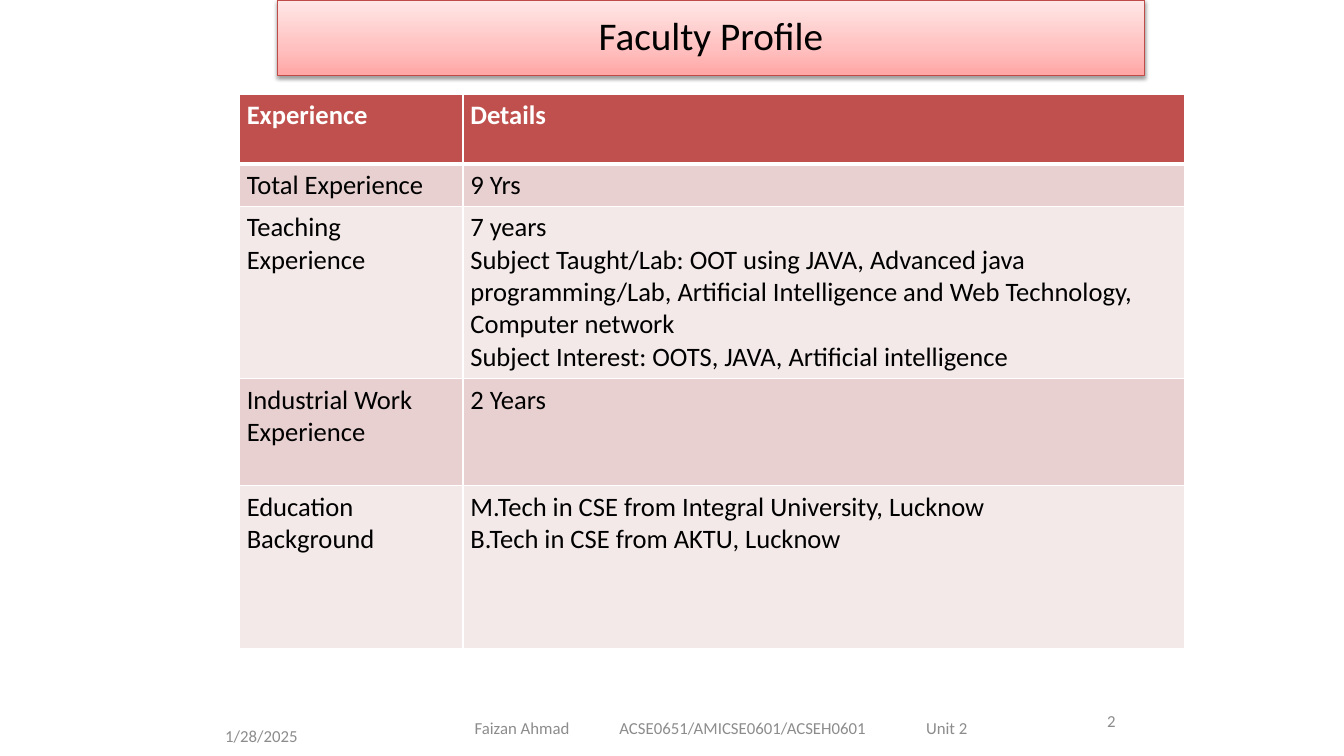
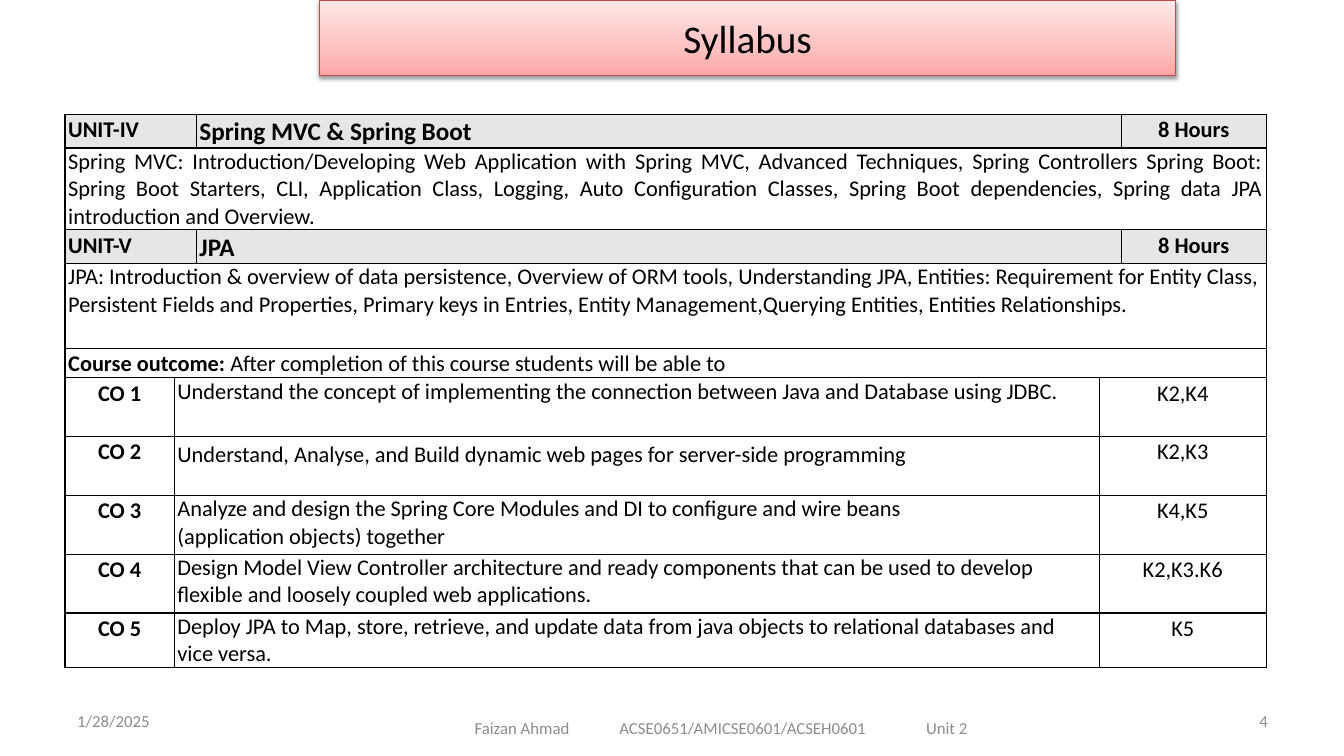
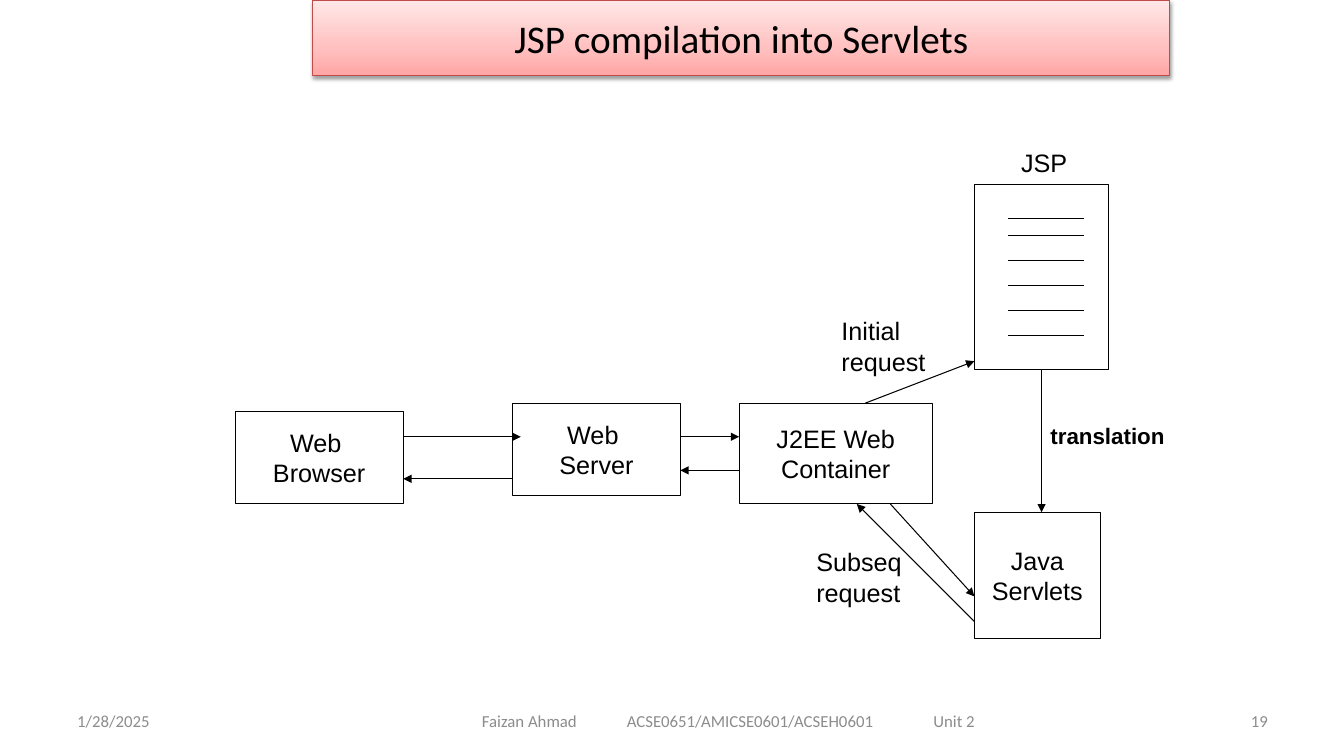
import copy
from dataclasses import dataclass

import lxml.etree
import pptx
import pptx.dml.color
import pptx.enum.shapes
import pptx.enum.text
import pptx.oxml.ns
import pptx.util

ALIGN = pptx.enum.text.PP_ALIGN
ANCHOR = pptx.enum.text.MSO_ANCHOR
qn = pptx.oxml.ns.qn


@dataclass(frozen=True)
class Theme:
    body_font: str = "Calibri"
    diagram_font: str = "Arial"
    black: str = "000000"
    white: str = "FFFFFF"
    muted: str = "8C8C8C"
    header: str = "C0504D"
    band_dark: str = "E8D0D0"
    band_light: str = "F4E9E9"
    unit_fill: str = "E6E6E6"
    banner_line: str = "BF4C48"
    banner_stops: tuple = ((0, "FFA6A5"), (0.35, "FFC0BF"), (1, "FFE7E7"))
    title_size: int = 28
    profile_size: int = 19
    diagram_size: int = 18
    unit_size: int = 18
    syllabus_size: int = 16
    footer_size: int = 12
    line_width: float = 0.75


THEME = Theme()
FOOTER_PARTS = ("Faizan Ahmad", "ACSE0651/AMICSE0601/ACSEH0601", "Unit 2")
FOOTER_TEXT_WIDTH = 472
FOOTER_TABS = (138, 430)


def px(length):
    return pptx.util.Emu(length * 9525)


def rgb(value):
    return pptx.dml.color.RGBColor.from_string(value)


def add_xml(parent, tag, **attributes):
    return lxml.etree.SubElement(parent, qn(tag), attributes)


def style(paragraph, size, color=THEME.black, font=THEME.body_font, bold=False,
          align=ALIGN.LEFT, spacing=None):
    paragraph.alignment = align
    if spacing:
        paragraph.line_spacing = spacing
    for run in paragraph.runs:
        run.font.name = font
        run.font.size = pptx.util.Pt(size)
        run.font.color.rgb = rgb(color)
        run.font.bold = bold


def style_all(frame, size, **options):
    for paragraph in frame.paragraphs:
        style(paragraph, size, **options)


def add_text(slide, box, text, size, anchor=ANCHOR.TOP, **options):
    frame = slide.shapes.add_textbox(*map(px, box)).text_frame
    frame.word_wrap = True
    frame.vertical_anchor = anchor
    frame.text = text
    style_all(frame, size, **options)
    return frame


def add_banner(slide, title, left, width, spacing=None):
    banner = slide.shapes.add_shape(pptx.enum.shapes.MSO_SHAPE.RECTANGLE,
                                    px(left), 0, px(width), px(72))
    banner.fill.gradient()
    banner.fill.gradient_angle = 90
    properties = banner._element.spPr
    stop_list = properties.find(".//" + qn("a:gsLst"))
    stop_list.append(copy.deepcopy(stop_list[0]))
    for stop, (position, color) in zip(banner.fill.gradient_stops, THEME.banner_stops):
        stop.position = position
        stop.color.rgb = rgb(color)
    banner.line.color.rgb = rgb(THEME.banner_line)
    banner.line.width = pptx.util.Pt(THEME.line_width)
    banner.shadow.inherit = False
    shadow = add_xml(properties.find(qn("a:effectLst")), "a:outerShdw", blurRad="39370",
                     dist="20320", dir="5400000", rotWithShape="0")
    add_xml(add_xml(shadow, "a:srgbClr", val=THEME.black), "a:alpha", val="38000")
    banner.text_frame.vertical_anchor = ANCHOR.MIDDLE
    banner.text_frame.text = title
    style_all(banner.text_frame, THEME.title_size, align=ALIGN.CENTER, spacing=spacing)


def add_footer(slide, number, date_box=(64, 667, 299, 38), number_box=(918, 667, 299, 38),
               course_box=(424, 667, 528, 53)):
    look = dict(size=THEME.footer_size, color=THEME.muted, anchor=ANCHOR.MIDDLE)
    add_text(slide, date_box, "1/28/2025", **look)
    course = add_text(slide, course_box, "\t".join(FOOTER_PARTS), **look)
    course.margin_left = px((course_box[2] - FOOTER_TEXT_WIDTH) // 2)
    course.margin_right = 0
    tabs = add_xml(course.paragraphs[0]._p.get_or_add_pPr(), "a:tabLst")
    for position in FOOTER_TABS:
        add_xml(tabs, "a:tab", pos=str(px(position)), algn="l")
    add_text(slide, number_box, str(number), align=ALIGN.RIGHT, **look)


def set_borders(cell, color, bottom_width=1):
    properties = cell._tc.get_or_add_tcPr()
    for index, side in enumerate(("a:lnL", "a:lnR", "a:lnT", "a:lnB")):
        width = bottom_width if side == "a:lnB" else 1
        border = lxml.etree.Element(qn(side), w=str(pptx.util.Pt(width)))
        add_xml(add_xml(border, "a:solidFill"), "a:srgbClr", val=color)
        properties.insert(index, border)


def add_table(slide, left, top, widths, heights, border):
    table = slide.shapes.add_table(len(heights), len(widths), px(left), px(top),
                                   px(sum(widths)), px(sum(heights))).table
    table.horz_banding = False
    table.first_row = False
    for column, width in zip(table.columns, widths):
        column.width = px(width)
    for row, height in zip(table.rows, heights):
        row.height = px(height)
    for cell in table.iter_cells():
        cell.fill.background()
        set_borders(cell, border)
    return table


def fill_cell(cell, text, size, fill=None, insets=(3, 0), **options):
    cell.margin_left = cell.margin_right = px(insets[0])
    cell.margin_top = cell.margin_bottom = px(insets[1])
    if fill:
        cell.fill.solid()
        cell.fill.fore_color.rgb = rgb(fill)
    cell.text_frame.text = text
    style_all(cell.text_frame, size, **options)


def add_box(slide, box, text=""):
    node = slide.shapes.add_shape(pptx.enum.shapes.MSO_SHAPE.RECTANGLE, *map(px, box))
    node.shadow.inherit = False
    node.fill.background()
    node.line.color.rgb = rgb(THEME.black)
    node.line.width = pptx.util.Pt(THEME.line_width)
    if text:
        node.text_frame.word_wrap = False
        node.text_frame.vertical_anchor = ANCHOR.MIDDLE
        node.text_frame.text = text
        style_all(node.text_frame, THEME.diagram_size, font=THEME.diagram_font,
                  align=ALIGN.CENTER)
    return node


def add_line(slide, start, end, arrow=False):
    line = slide.shapes.add_connector(pptx.enum.shapes.MSO_CONNECTOR.STRAIGHT,
                                      *map(px, start + end))
    line.line.color.rgb = rgb(THEME.black)
    line.line.width = pptx.util.Pt(THEME.line_width)
    if arrow:
        add_xml(line.line._get_or_add_ln(), "a:tailEnd", type="triangle")
    add_xml(line._element.spPr, "a:effectLst")
    return line


def build_profile(slide):
    rows = (
        ("Experience", "Details"),
        ("Total Experience", "9 Yrs"),
        ("Teaching Experience",
         "7 years\nSubject Taught/Lab: OOT using JAVA, Advanced java programming/Lab, "
         "Artificial Intelligence and Web Technology, Computer network\n"
         "Subject Interest: OOTS, JAVA, Artificial intelligence"),
        ("Industrial Work Experience", "2 Years"),
        ("Education Background",
         "M.Tech in CSE from Integral University, Lucknow\nB.Tech in CSE from AKTU, Lucknow"),
    )
    table = add_table(slide, 228, 90, (213, 687), (66, 40, 164, 102, 155), THEME.white)
    table.first_row = True
    for row, texts in enumerate(rows):
        heading = row == 0
        band = THEME.band_dark if row % 2 else THEME.band_light
        for column, text in enumerate(texts):
            fill_cell(table.cell(row, column), text, THEME.profile_size,
                      fill=THEME.header if heading else band, insets=(7, 5), bold=heading,
                      color=THEME.white if heading else THEME.black)
    for cell in table.rows[0].cells:
        cell._tc.tcPr.find(qn("a:lnB")).set("w", str(pptx.util.Pt(3)))
    add_footer(slide, 2, date_box=(205, 682, 224, 38), number_box=(848, 667, 224, 38))
    add_banner(slide, "Faculty Profile", 264, 826, spacing=0.9)


def build_syllabus(slide):
    units = (
        ("UNIT-IV", "Spring MVC & Spring Boot", ALIGN.JUSTIFY,
         "Spring MVC: Introduction/Developing Web Application with Spring MVC, Advanced "
         "Techniques, Spring Controllers Spring Boot: Spring Boot Starters, CLI, Application "
         "Class, Logging, Auto Configuration Classes, Spring Boot dependencies, Spring data "
         "JPA introduction and Overview."),
        ("UNIT-V", "JPA", ALIGN.LEFT,
         "JPA: Introduction & overview of data persistence, Overview of ORM tools, "
         "Understanding JPA, Entities: Requirement for Entity Class, Persistent Fields and "
         "Properties, Primary keys in Entries, Entity Management,Querying Entities, Entities "
         "Relationships."),
    )
    outcomes = (
        ("Understand the concept of implementing the connection between Java and Database "
         "using JDBC.", "K2,K4", None),
        ("Understand, Analyse, and Build dynamic web pages for server-side programming",
         "K2,K3", 1.15),
        ("Analyze and design the Spring Core Modules and DI to configure and wire beans\n"
         "(application objects) together", "K4,K5", None),
        ("Design Model View Controller architecture and ready components that can be used to "
         "develop flexible and loosely coupled web applications.", "K2,K3.K6", None),
        ("Deploy JPA to Map, store, retrieve, and update data from java objects to relational "
         "databases and vice versa.", "K5", None),
    )
    size, loose = THEME.syllabus_size, 1.07
    table = add_table(slide, 62, 109, (104, 21, 860, 21, 138),
                      (32, 78, 32, 81, 28, 56, 56, 56, 56, 52), THEME.black)

    def span(row, first, last):
        cell = table.cell(row, first)
        cell.merge(table.cell(row, last))
        return cell

    for index, (unit, topic, align, contents) in enumerate(units):
        row = 2 * index
        look = dict(fill=THEME.unit_fill, bold=True, spacing=loose)
        fill_cell(span(row, 0, 1), unit, size, **look)
        fill_cell(span(row, 2, 3), topic, THEME.unit_size, **look)
        fill_cell(table.cell(row, 4), "8 Hours", size, align=ALIGN.CENTER, **look)
        fill_cell(span(row + 1, 0, 4), contents, size, align=align)

    outcome_heading = span(4, 0, 4)
    fill_cell(outcome_heading, "Course outcome: ", size)
    sentence = outcome_heading.text_frame.paragraphs[0]
    sentence.add_run().text = "After completion of this course students will be able to"
    style(sentence, size, spacing=loose)
    sentence.runs[0].font.bold = True

    for number, (outcome, levels, spacing) in enumerate(outcomes, 1):
        row = 4 + number
        centred = dict(align=ALIGN.CENTER, spacing=loose)
        fill_cell(table.cell(row, 0), f"CO {number}", size, bold=True, **centred)
        fill_cell(span(row, 1, 2), outcome, size, spacing=spacing)
        fill_cell(span(row, 3, 4), levels, size, **centred)

    add_footer(slide, 4)
    add_banner(slide, "Syllabus", 304, 816)


def build_compilation(slide):
    add_footer(slide, 19, course_box=(438, 667, 514, 38))
    add_banner(slide, "JSP compilation into Servlets", 298, 816)

    for box, text in (
        ((224, 392, 160, 88), "Web \nBrowser"),
        ((488, 384, 160, 88), "Web \nServer"),
        ((704, 384, 184, 96), "J2EE Web\nContainer"),
        ((928, 488, 120, 120), "Java\nServlets"),
    ):
        add_box(slide, box, text)
    jsp_page = add_box(slide, (928, 176, 128, 176))

    for y in (208, 224, 248, 272, 296, 320):
        add_line(slide, (960, y), (1032, y))
    for start, end in (
        ((384, 416), (496, 416)),
        ((488, 456), (384, 456)),
        ((648, 416), (704, 416)),
        ((704, 448), (648, 448)),
        ((824, 384), (928, 344)),
        ((848, 480), (928, 568)),
        ((928, 592), (816, 480)),
    ):
        add_line(slide, start, end, arrow=True)
    translation = add_line(slide, (992, 352), (992, 488), arrow=True)
    translation.begin_connect(jsp_page, 2)

    for box, text in (
        ((792, 296, 104, 68), "Initial\nrequest"),
        ((768, 516, 104, 68), "Subseq\nrequest"),
        ((963, 136, 68, 38), "JSP"),
    ):
        add_text(slide, box, text, THEME.diagram_size, font=THEME.diagram_font)
    add_text(slide, (991, 397, 136, 36), "translation", 16, font=THEME.diagram_font, bold=True)


def main():
    deck = pptx.Presentation()
    deck.slide_width, deck.slide_height = px(1280), px(720)
    for build in (build_profile, build_syllabus, build_compilation):
        build(deck.slides.add_slide(deck.slide_layouts[6]))
    deck.save("out.pptx")


if __name__ == "__main__":
    main()
